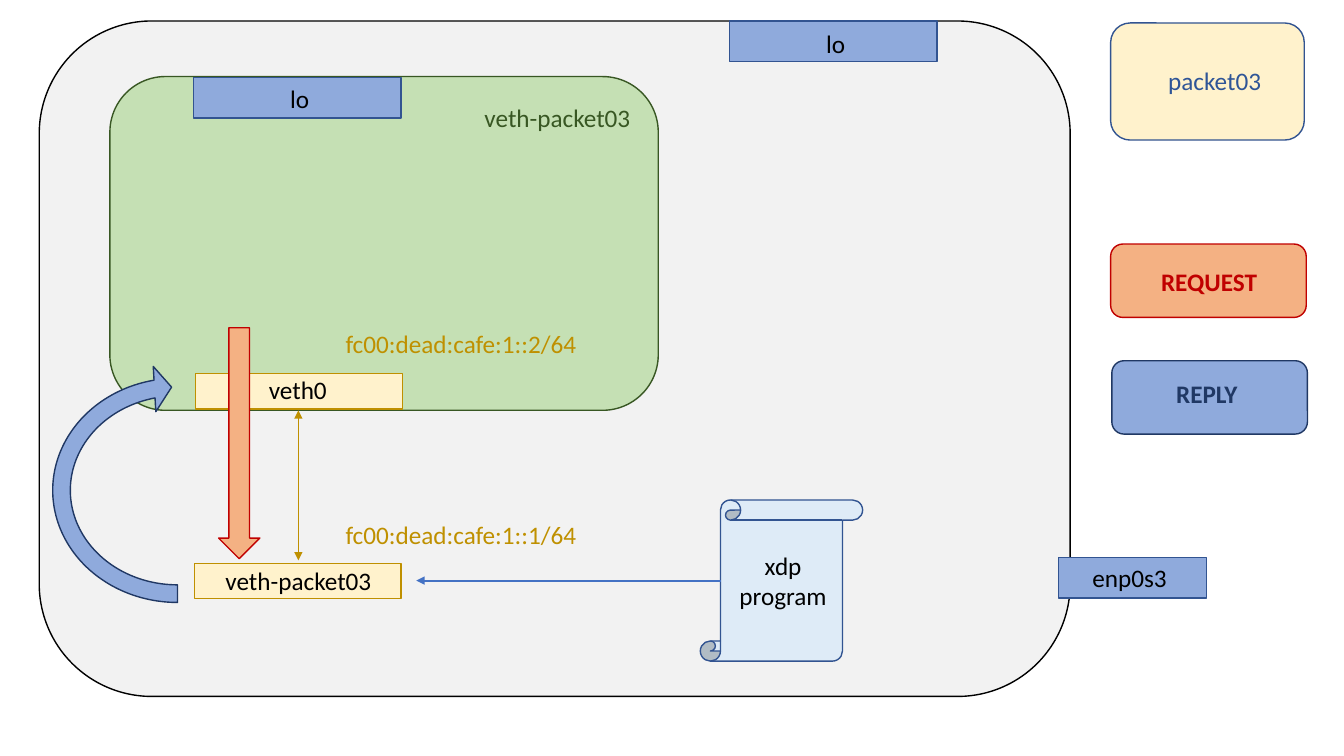
"""Build a slide of a veth pair with an XDP program, its request and its reply."""
from lxml import etree
from pptx import Presentation
from pptx.dml.color import RGBColor
from pptx.enum.shapes import MSO_CONNECTOR, MSO_SHAPE
from pptx.enum.text import MSO_AUTO_SIZE, PP_ALIGN
from pptx.oxml.ns import qn
from pptx.util import Cm, Pt

RECT, ROUND = MSO_SHAPE.RECTANGLE, MSO_SHAPE.ROUNDED_RECTANGLE
SCROLL, DOWN = MSO_SHAPE.VERTICAL_SCROLL, MSO_SHAPE.DOWN_ARROW
CURVE, LINE = MSO_SHAPE.CIRCULAR_ARROW, MSO_CONNECTOR.STRAIGHT
LEFT, MID = PP_ALIGN.LEFT, PP_ALIGN.CENTER
FIT = MSO_AUTO_SIZE.SHAPE_TO_FIT_TEXT

FONT, SIZE = "Calibri", 18
BLACK, GREEN, GOLD, RED = "000000", "385723", "BF9000", "C00000"
NAVY, BLUE, SKY, CREAM, PEACH = "203864", "325491", "8FAADC", "FFF2CC", "F4B183"

SHAPES = [
    (ROUND, 0.99, 0.53, 25.98, 17.02, "F2F2F2", BLACK),
    (ROUND, 2.77, 1.93, 13.82, 8.41, "C5E0B4", GREEN),
    (RECT, 4.93, 9.42, 5.21, 0.89, CREAM, GOLD),
    (RECT, 4.9, 14.2, 5.21, 0.89, CREAM, GOLD),
    (RECT, 26.67, 14.05, 3.73, 1.02, SKY, BLUE),
    (RECT, 18.39, 0.53, 5.23, 1.02, SKY, BLUE),
    (RECT, 4.88, 1.96, 5.23, 1.02, SKY, BLUE),
    (ROUND, 27.99, 0.58, 4.88, 2.95, CREAM, BLUE),
    (SCROLL, 17.65, 12.6, 4.09, 4.06, "DEEBF7", BLUE),
    (DOWN, 5.51, 8.26, 1.04, 5.82, PEACH, RED),
    (CURVE, 1.3, 8.86, 6.35, 6.99, SKY, NAVY),
    (ROUND, 28.02, 9.09, 4.93, 1.85, SKY, NAVY),
    (ROUND, 27.99, 6.15, 4.93, 1.85, PEACH, RED),
]
BEND = (0.07, 5.7, 208.33, 108, 0.09)

LINKS = [
    (7.52, 10.34, 7.52, 14.12, GOLD, 0.5, ("headEnd", "tailEnd")),
    (18.16, 14.63, 10.49, 14.63, "4472C4", 1.5, ("tailEnd",)),
]

LABELS = [
    (["veth-packet03"], 11.96, 2.46, 4.88, GREEN, LEFT, False),
    (["veth0"], 4.9, 9.3, 5.21, BLACK, MID, False),
    (["veth-packet03"], 4.55, 14.12, 5.94, BLACK, MID, False),
    (["lo"], 20.57, 0.58, 2.51, BLACK, LEFT, False),
    (["enp0s3"], 27.28, 14.05, 2.51, BLACK, LEFT, False),
    (["fc00:dead:cafe:1::2/64"], 8.46, 8.15, 7.67, GOLD, LEFT, False),
    (["lo"], 7.06, 1.98, 2.51, BLACK, LEFT, False),
    (["packet03"], 28.58, 1.52, 4.06, "2F5597", MID, False),
    (["fc00:dead:cafe:1::1/64"], 8.46, 12.95, 7.67, GOLD, LEFT, False),
    (["xdp", "program"], 18.21, 13.74, 3.05, BLACK, MID, False),
    (["REQUEST"], 29.01, 6.58, 4.06, RED, LEFT, True),
    (["REPLY"], 29.39, 9.42, 4.06, NAVY, LEFT, True),
]


def paint(part, hue):
    part.rgb = RGBColor.from_string(hue)


def add_box(slide, kind, x, y, w, h, fill, edge):
    box = slide.shapes.add_shape(kind, Cm(x), Cm(y), Cm(w), Cm(h))
    box.shadow.inherit = False
    box.fill.solid()
    paint(box.fill.fore_color, fill)
    paint(box.line.color, edge)
    box.line.width = Pt(1)
    if kind == CURVE:
        box.rotation = 270
        for i, bend in enumerate(BEND):
            box.adjustments[i] = bend


def add_link(slide, x1, y1, x2, y2, hue, width, tips):
    link = slide.shapes.add_connector(LINE, Cm(x1), Cm(y1), Cm(x2), Cm(y2))
    paint(link.line.color, hue)
    link.line.width = Pt(width)
    props = link._element.spPr
    for tip in tips:
        etree.SubElement(props.find(qn("a:ln")), qn("a:" + tip), type="triangle")
    etree.SubElement(props, qn("a:effectLst"))


def add_label(slide, rows, x, y, w, hue, align, bold):
    high = 0.24 + 0.78 * len(rows)
    frame = slide.shapes.add_textbox(Cm(x), Cm(y), Cm(w), Cm(high)).text_frame
    frame.word_wrap = True
    frame.auto_size = FIT
    for i, row in enumerate(rows):
        para = frame.add_paragraph() if i else frame.paragraphs[0]
        para.alignment = align
        run = para.add_run()
        run.text = row
        run.font.name, run.font.size, run.font.bold = FONT, Pt(SIZE), bold
        paint(run.font.color, hue)


def main():
    deck = Presentation()
    deck.slide_width, deck.slide_height = Cm(33.87), Cm(19.05)
    slide = deck.slides.add_slide(deck.slide_layouts[6])
    for add, items in ((add_box, SHAPES), (add_link, LINKS), (add_label, LABELS)):
        for item in items:
            add(slide, *item)
    deck.save("out.pptx")


if __name__ == "__main__":
    main()
